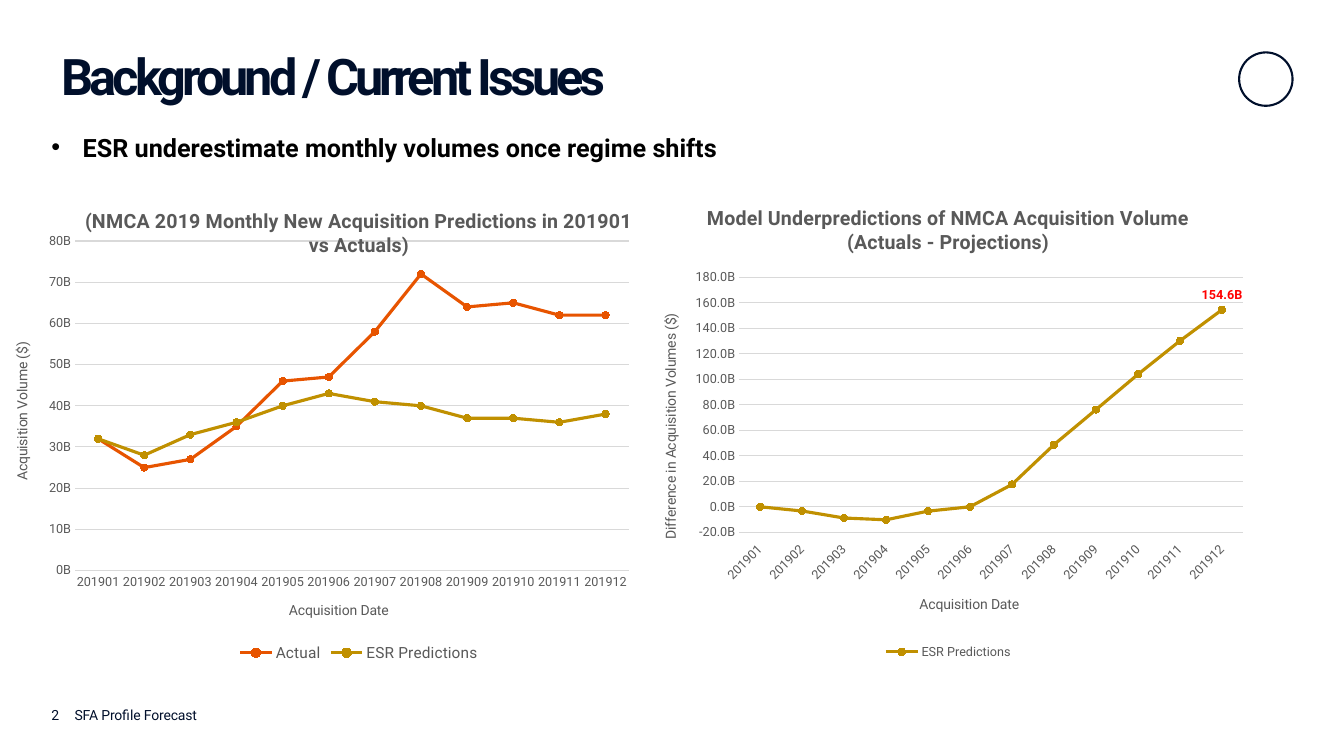
from lxml.etree import SubElement
from pptx import Presentation
from pptx.chart.data import CategoryChartData
from pptx.dml.color import RGBColor
from pptx.enum.chart import (XL_CHART_TYPE, XL_LABEL_POSITION, XL_LEGEND_POSITION,
                             XL_MARKER_STYLE, XL_TICK_LABEL_POSITION, XL_TICK_MARK)
from pptx.enum.shapes import MSO_SHAPE
from pptx.enum.text import MSO_ANCHOR, PP_ALIGN
from pptx.oxml import parse_xml
from pptx.oxml.ns import nsdecls, qn
from pptx.util import Inches, Pt

NAVY = RGBColor(0x00, 0x0F, 0x2B)
BLACK = RGBColor(0x00, 0x00, 0x00)
GREY = RGBColor(0x59, 0x59, 0x59)
GRID = RGBColor(0xD9, 0xD9, 0xD9)
ORANGE = RGBColor(0xE7, 0x54, 0x00)
GOLD = RGBColor(0xC0, 0x90, 0x00)
RED = RGBColor(0xFF, 0x00, 0x00)
FONT = "Roboto"
MONTHS = [f"2019{m:02d}" for m in range(1, 13)]
ACTUAL = [32, 25, 27, 35, 46, 47, 58, 72, 64, 65, 62, 62]
PREDICTED = [32, 28, 33, 36, 40, 43, 41, 40, 37, 37, 36, 38]
GAP_BILLIONS = [0.1, -3.2, -8.7, -10.1, -3.3, 0.1, 17.6, 48.8, 76.3, 104.0, 130.2, 154.6]


def style_font(font, size, color, bold=False):
    """Apply the slide typeface with a size, colour and weight."""
    font.name, font.size, font.bold = FONT, Pt(size), bold
    font.color.rgb = color


def place(shape, box):
    """Move a shape to a box given in inches."""
    shape.left, shape.top, shape.width, shape.height = map(Inches, box)


def write(shape, text, size, color, bold=False, spacing=0):
    """Write one top-anchored, left-aligned paragraph and return it."""
    tf = shape.text_frame
    tf.word_wrap = True
    tf.vertical_anchor = MSO_ANCHOR.TOP
    p = tf.paragraphs[0]
    r = p.add_run()
    r.text = text
    p.alignment = PP_ALIGN.LEFT
    p.space_before = Pt(0)
    style_font(p.font, size, color, bold)
    if spacing:
        r._r.get_or_add_rPr().set("spc", str(spacing))
    return p


def add_header(s, box):
    """Fill the title and put the round emblem at the right end of the box."""
    left, top, width, height = box
    place(s.shapes.title, (left, top, 11.28, height))
    p = write(s.shapes.title, "Background / Current Issues", 36, NAVY, True, -280)
    p.line_spacing = 0.8
    emblem = s.shapes.add_shape(MSO_SHAPE.OVAL, 0, 0, 0, 0)
    place(emblem, (left + width - 0.54, top + 0.01, 0.53, 0.53))
    emblem.shadow.inherit = False
    emblem.fill.background()
    emblem.line.color.rgb = NAVY
    emblem.line.width = Pt(1.5)


def add_message(s, box):
    """Fill the body placeholder with the single bullet."""
    body = s.placeholders[1]
    place(body, box)
    p = write(body, "ESR underestimate monthly volumes once regime shifts", 18, BLACK, True)
    pPr = p._p.get_or_add_pPr()
    pPr.set("marL", str(Inches(0.31)))
    pPr.set("indent", str(-Inches(0.31)))
    bullet = parse_xml(f'<a:buChar {nsdecls("a")} char="•"/>')
    pPr.find(qn("a:defRPr")).addprevious(bullet)


def add_footer(s, box):
    """Place the page number and the footer text in one row."""
    left, top, width, height = box
    for text, dx, w in (("2", 0, 0.23), ("SFA Profile Forecast", 0.23, width - 0.23)):
        tb = s.shapes.add_textbox(0, 0, 0, 0)
        place(tb, (left + dx, top, w, height))
        tf = tb.text_frame
        tf.margin_left = tf.margin_right = tf.margin_top = tf.margin_bottom = 0
        write(tb, text, 10, NAVY, spacing=-10)


def set_plot_area(chart, fractions):
    """Fix the inner plot area as fractions of the chart."""
    plot_area = chart._chartSpace.chart.plotArea
    for old in plot_area.findall(qn("c:layout")):
        plot_area.remove(old)
    layout = parse_xml(f'<c:layout {nsdecls("c")}/>')
    manual = SubElement(layout, qn("c:manualLayout"))
    values = ["inner", "edge", "edge", *map(str, fractions)]
    for tag, value in zip(("layoutTarget", "xMode", "yMode", "x", "y", "w", "h"), values):
        SubElement(manual, qn(f"c:{tag}")).set("val", value)
    plot_area.insert(0, layout)


def set_title(title, text, size, bold=False):
    """Write the title of a chart or an axis."""
    p = title.text_frame.paragraphs[0]
    p.add_run().text = text
    style_font(p.font, size, GREY, bold)


def set_axis(axis, title):
    """Apply the look that both axes share."""
    axis.major_tick_mark = axis.minor_tick_mark = XL_TICK_MARK.NONE
    style_font(axis.tick_labels.font, 9, GREY)
    set_title(axis.axis_title, title, 10)


def add_line_chart(s, box, title, value_title, series, fmt, scale, angle, legend_size):
    """Draw a monthly line chart in the box and return it."""
    cd = CategoryChartData(number_format=fmt)
    cd.categories = MONTHS
    for name, values, _ in series:
        cd.add_series(name, values)
    chart = s.shapes.add_chart(XL_CHART_TYPE.LINE_MARKERS, *map(Inches, box), cd).chart
    style_font(chart.font, 10, BLACK)
    set_title(chart.chart_title, title, 14, True)
    chart.chart_title.include_in_layout = False
    chart.has_legend = True
    chart.legend.position = XL_LEGEND_POSITION.BOTTOM
    chart.legend.include_in_layout = False
    style_font(chart.legend.font, legend_size, GREY)

    dates, amounts = chart.category_axis, chart.value_axis
    set_axis(dates, "Acquisition Date")
    dates.format.line.color.rgb = GRID
    dates.format.line.width = Pt(0.75)
    dates._element.find(qn("c:txPr")).find(qn("a:bodyPr")).set("rot", str(angle * 60000))
    set_axis(amounts, value_title)
    amounts.minimum_scale, amounts.maximum_scale, amounts.major_unit = scale
    amounts.tick_labels.number_format = fmt
    amounts.tick_labels.number_format_is_linked = False
    amounts.format.line.fill.background()
    amounts.major_gridlines.format.line.color.rgb = GRID
    amounts.major_gridlines.format.line.width = Pt(0.75)

    chart.plots[0].vary_by_categories = False
    for line, (_, _, color) in zip(chart.plots[0].series, series):
        line.smooth = False
        line.format.line.color.rgb = color
        line.format.line.width = Pt(2.25)
        line.marker.style = XL_MARKER_STYLE.CIRCLE
        line.marker.size = 5
        line.marker.format.fill.solid()
        line.marker.format.fill.fore_color.rgb = color
        line.marker.format.line.color.rgb = color
    return chart


def add_predictions_chart(s, box):
    """Compare actual and predicted volumes."""
    chart = add_line_chart(
        s, box, "(NMCA 2019 Monthly New Acquisition Predictions in 201901 vs Actuals)",
        "Acquisition Volume ($)",
        [("Actual", ACTUAL, ORANGE), ("ESR Predictions", PREDICTED, GOLD)],
        '0"B"', (0, 80, 10), 0, 11)
    chart.category_axis.tick_label_position = XL_TICK_LABEL_POSITION.NEXT_TO_AXIS
    set_plot_area(chart, (0.1, 0.11, 0.78, 0.69))


def add_gap_chart(s, box):
    """Show the underprediction and label its last month."""
    gaps = [round(v * 1e9) for v in GAP_BILLIONS]
    chart = add_line_chart(
        s, box, "Model Underpredictions of NMCA Acquisition Volume (Actuals - Projections)",
        "Difference in Acquisition Volumes ($)", [("ESR Predictions", gaps, GOLD)],
        '0.0,,,"B"', (-20e9, 180e9, 20e9), -45, 9)
    chart.category_axis.tick_label_position = XL_TICK_LABEL_POSITION.LOW
    label = chart.plots[0].series[0].points[len(gaps) - 1].data_label
    style_font(label.font, 9, RED, True)
    label.position = XL_LABEL_POSITION.ABOVE


def main():
    """Build the slide and save it."""
    prs = Presentation()
    prs.slide_width, prs.slide_height = Inches(13.33), Inches(7.5)
    s = prs.slides.add_slide(prs.slide_layouts[1])
    add_header(s, (0.51, 0.51, 12.32, 0.44))
    add_message(s, (0.41, 1.26, 11.39, 0.4))
    add_predictions_chart(s, (0.04, 1.87, 7.04, 4.74))
    add_gap_chart(s, (6.36, 1.84, 6.09, 4.74))
    add_footer(s, (0.51, 7.01, 9.58, 0.4))
    prs.save("out.pptx")


if __name__ == "__main__":
    main()
